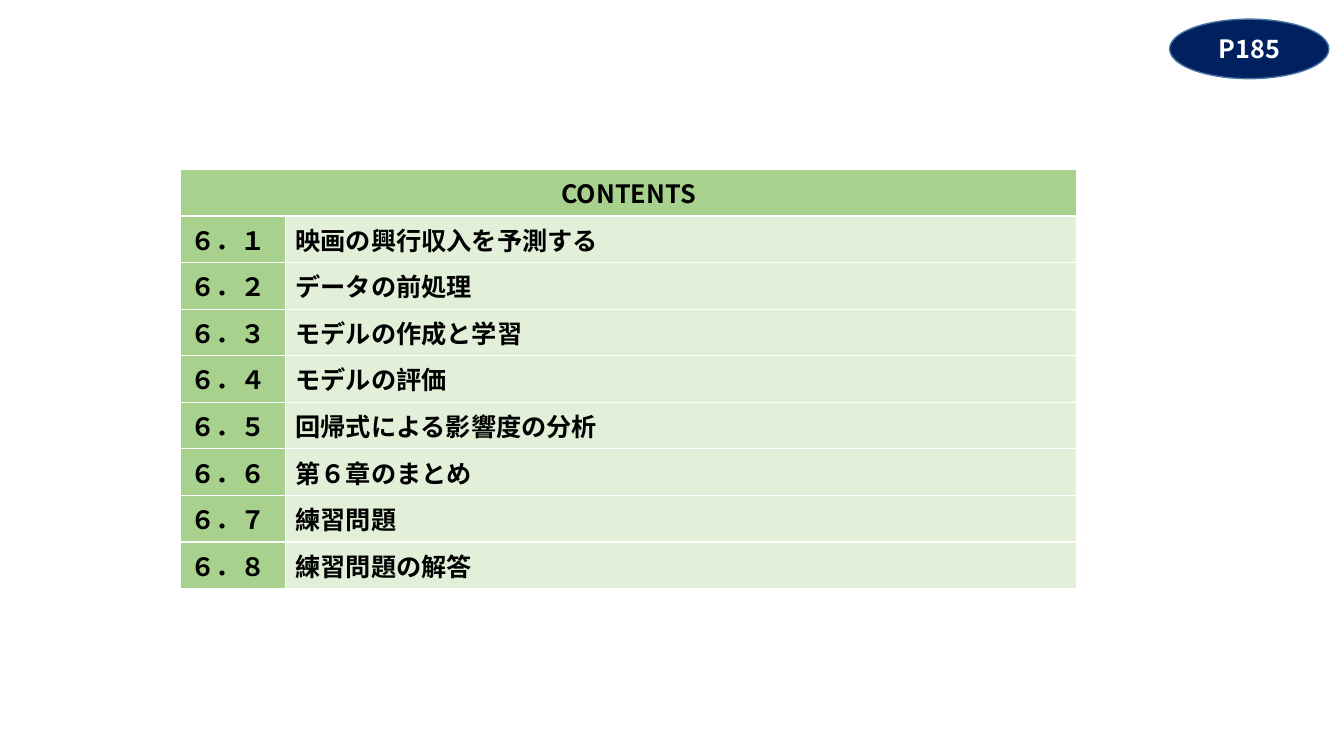
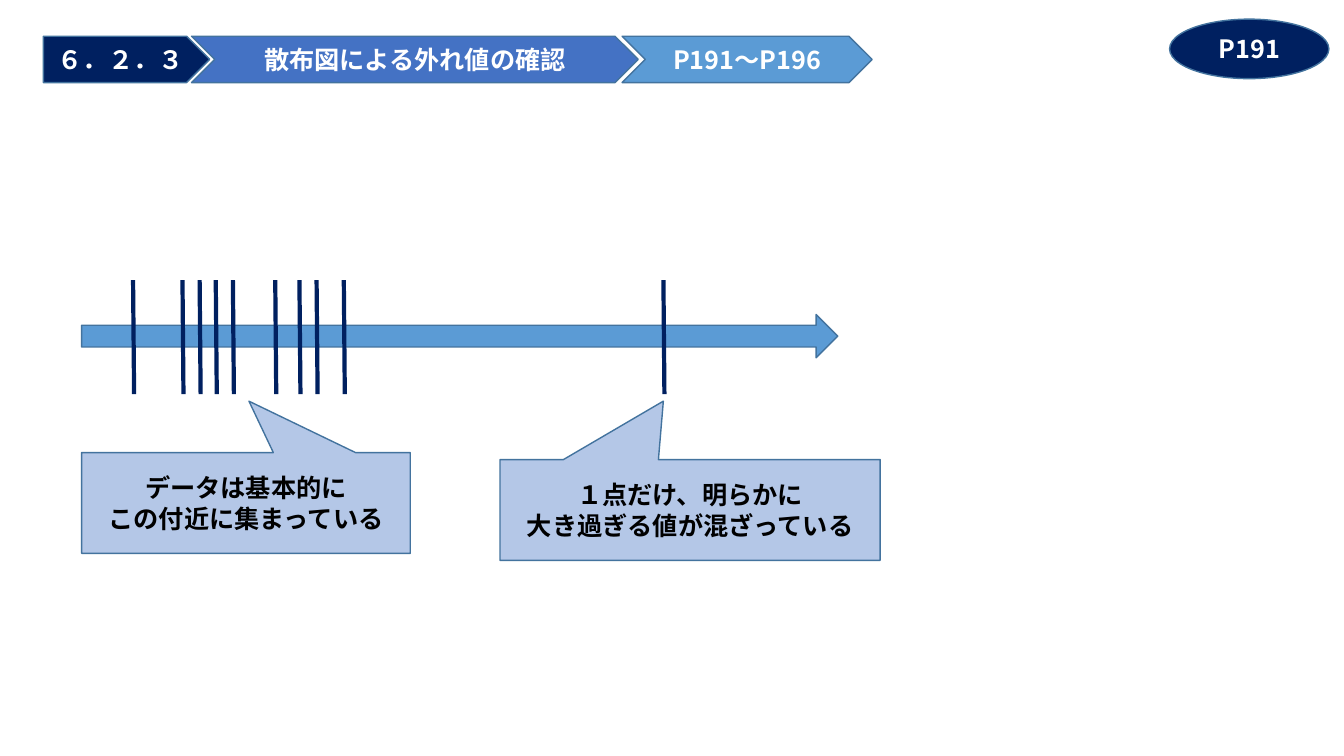
from pptx import Presentation
from pptx import util as u
from pptx.dml.color import RGBColor
from pptx.enum import shapes as sh, text as tx
from pptx.oxml.ns import qn
from lxml import etree


class Theme:
    font, size = "Noto Sans CJK JP", 18
    edge, thin, thick = "43739E", 1, 3
    navy, blue, sky, pale = "002060", "4472C4", "5B9BD5", "B4C7E7"
    green, mint = "A9D18E", "E2F0D9"
    white, black = "FFFFFF", "000000"


# Content, lengths in px (100 to the inch)
WIDE, HIGH = 1333, 750
BADGE = (1160, 19, 158, 59)

HEAD = "CONTENTS"
ITEMS = [
    "映画の興行収入を予測する",
    "データの前処理",
    "モデルの作成と学習",
    "モデルの評価",
    "回帰式による影響度の分析",
    "第６章のまとめ",
    "練習問題",
    "練習問題の解答",
]
DIGITS = "１２３４５６７８"
TABLE = (179, 168)
COLS = (104, 785)
ROW = 41

BAND_TOP, BAND_H = 36, 46
BAND = [  # shape, left, width, fill, words
    ("PENTAGON", 43, 165, Theme.navy, "６．２．３"),
    ("CHEVRON", 190, 443, Theme.blue, "散布図による外れ値の確認"),
    ("CHEVRON", 617, 248, Theme.sky, "P191～P196"),
]
AXIS = (81, 312, 750, 43)
TICKS = [132, 181, 198, 214, 231, 273, 297, 314, 341, 658]
TICK_TOP, TICK_END, SLANT = 278, 391, 1
NOTES = [  # box, tip, lines
    ((81, 449, 326, 100), (247, 398),
     ["データは基本的に", "この付近に集まっている"]),
    ((496, 456, 377, 100), (658, 398),
     ["１点だけ、明らかに", "大き過ぎる値が混ざっている"]),
]


# Helpers
def px(n):
    return u.Emu(n * 9144)


def rgb(hue):
    return RGBColor.from_string(hue)


def paint(fill, hue):
    fill.solid()
    fill.fore_color.rgb = rgb(hue)


def write(frame, lines, hue, align):
    for i, line in enumerate(lines):
        para = frame.paragraphs[0] if i == 0 else frame.add_paragraph()
        para.alignment = align
        run = para.add_run()
        run.text = line
        look = dict(name=Theme.font, size=u.Pt(Theme.size), bold=True)
        for key, val in look.items():
            setattr(run.font, key, val)
        run.font.color.rgb = rgb(hue)
        east = etree.SubElement(run.font._element, qn("a:ea"))
        east.set("typeface", Theme.font)


def block(slide, kind, box, fill, lines=(), hue=Theme.white):
    part = slide.shapes.add_shape(
        getattr(sh.MSO_SHAPE, kind), *map(px, box))
    part.shadow.inherit = False
    paint(part.fill, fill)
    paint(part.line.fill, Theme.edge)
    part.line.width = u.Pt(Theme.thin)
    part.text_frame.vertical_anchor = tx.MSO_ANCHOR.MIDDLE
    write(part.text_frame, lines, hue, tx.PP_ALIGN.CENTER)
    return part


def badge(slide, label):
    block(slide, "OVAL", BADGE, Theme.navy, [label])


def tick(slide, x):
    line = slide.shapes.add_connector(
        sh.MSO_CONNECTOR.STRAIGHT,
        *map(px, (x, TICK_TOP, x + SLANT, TICK_END)))
    line.line.color.rgb = rgb(Theme.navy)
    line.line.width = u.Pt(Theme.thick)
    etree.SubElement(line._element.spPr, qn("a:effectLst"))


def fill_cell(cell, hue, words="", align=tx.PP_ALIGN.LEFT):
    props = cell._tc.get_or_add_tcPr()
    for side in "LRTB":  # borders come before the fill
        edge = etree.SubElement(props, qn("a:ln" + side),
                                w=str(u.Pt(Theme.thin)))
        solid = etree.SubElement(edge, qn("a:solidFill"))
        etree.SubElement(solid, qn("a:srgbClr"), val=Theme.white)
    paint(cell.fill, hue)
    if words:
        write(cell.text_frame, [words], Theme.black, align)


# Slides
def contents(slide):
    count = len(ITEMS) + 1
    size = (sum(COLS), ROW * count)
    grid = slide.shapes.add_table(
        count, len(COLS), *map(px, TABLE + size)).table
    grid.first_row = grid.horz_banding = False
    for col, wide in zip(grid.columns, COLS):
        col.width = px(wide)
    for row in grid.rows:
        row.height = px(ROW)
    grid.cell(0, 0).merge(grid.cell(0, 1))
    fill_cell(grid.cell(0, 0), Theme.green, HEAD, tx.PP_ALIGN.CENTER)
    fill_cell(grid.cell(0, 1), Theme.green)
    for i, (digit, item) in enumerate(zip(DIGITS, ITEMS), 1):
        fill_cell(grid.cell(i, 0), Theme.green, "６．" + digit)
        fill_cell(grid.cell(i, 1), Theme.mint, item)
    badge(slide, "P185")


def outlier(slide):
    block(slide, "RIGHT_ARROW", AXIS, Theme.sky)
    for x in TICKS:
        tick(slide, x)
    for box, tip, lines in NOTES:
        note = block(slide, "RECTANGULAR_CALLOUT", box, Theme.pale,
                     lines, Theme.black)
        for i in (0, 1):  # tip offset from the centre, as a share of size
            note.adjustments[i] = (tip[i] - box[i]) / box[i + 2] - 0.5
    for kind, left, wide, fill, words in BAND:
        block(slide, kind, (left, BAND_TOP, wide, BAND_H), fill, [words])
    badge(slide, "P191")


def main():
    deck = Presentation()
    deck.slide_width, deck.slide_height = px(WIDE), px(HIGH)
    for build in (contents, outlier):
        build(deck.slides.add_slide(deck.slide_layouts[6]))
    deck.save("out.pptx")


if __name__ == "__main__":
    main()
